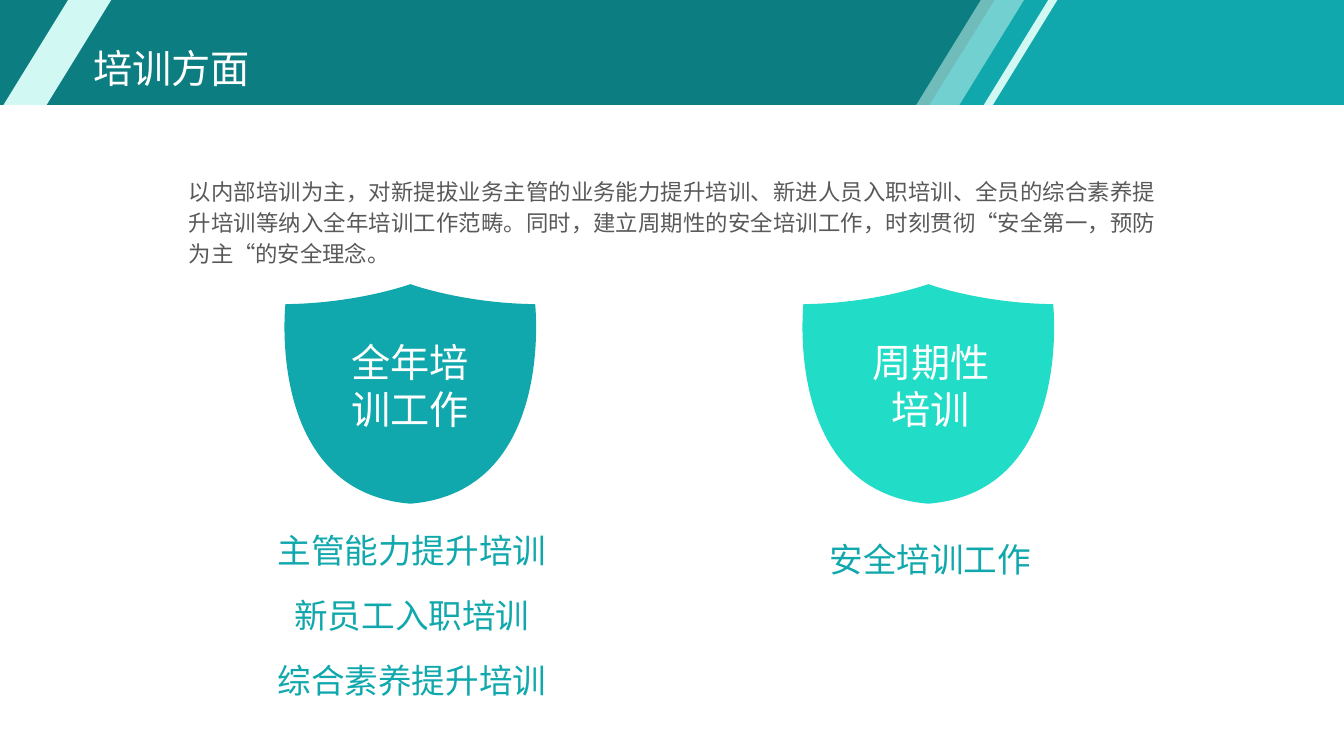
"""Build the training slide: slanted header band, summary and two shields with their topics."""
import pptx
import pptx.dml.color
import pptx.enum.lang
import pptx.enum.shapes
import pptx.enum.text
import pptx.oxml
import pptx.oxml.ns
import pptx.util

Pt = pptx.util.Pt
RGBColor = pptx.dml.color.RGBColor
Alignment = pptx.enum.text.PP_ALIGN
AutoSize = pptx.enum.text.MSO_AUTO_SIZE
Preset = pptx.enum.shapes.MSO_SHAPE
qn = pptx.oxml.ns.qn
NAMESPACE = pptx.oxml.ns.nsdecls("a")

DARK_TEAL = RGBColor(0x0C, 0x7E, 0x81)
TEAL = RGBColor(0x10, 0xA8, 0xAC)
PALE_MINT = RGBColor(0xD2, 0xF8, 0xF4)
MINT = RGBColor(0x21, 0xDC, 0xC7)
GREY = RGBColor(0x59, 0x59, 0x59)
WHITE = RGBColor(0xFF, 0xFF, 0xFF)
FONT = "Noto Sans CJK SC"
BAND_HEIGHT = 75

presentation = pptx.Presentation()
presentation.slide_width = Pt(960)
presentation.slide_height = Pt(540)
slide = presentation.slides.add_slide(presentation.slide_layouts[6])


def paint(shape, color):
    shape.shadow.inherit = False
    shape.fill.solid()
    shape.fill.fore_color.rgb = color
    shape.line.fill.background()


def add_text(text, left, top, width, height, size, color, alignment,
             spacing=None, insets=(0, 0), auto_size=AutoSize.NONE):
    box = slide.shapes.add_textbox(Pt(left), Pt(top), Pt(width), Pt(height))
    frame = box.text_frame
    frame.word_wrap = True
    frame.auto_size = auto_size
    frame.vertical_anchor = pptx.enum.text.MSO_ANCHOR.MIDDLE
    frame.margin_left = frame.margin_right = Pt(insets[0])
    frame.margin_top = frame.margin_bottom = Pt(insets[1])
    paragraph = frame.paragraphs[0]
    paragraph.alignment = alignment
    paragraph.line_spacing = spacing
    run = paragraph.add_run()
    run.text = text
    run.font.size = Pt(size)
    run.font.name = FONT
    run.font.color.rgb = color
    run.font.language_id = pptx.enum.lang.MSO_LANGUAGE_ID.SIMPLIFIED_CHINESE
    east_asian = pptx.oxml.parse_xml(f'<a:ea {NAMESPACE} typeface="{FONT}"/>')
    run.font._element.find(qn("a:latin")).addnext(east_asian)


band = slide.shapes.add_shape(Preset.RECTANGLE, 0, 0, Pt(960), Pt(BAND_HEIGHT))
paint(band, DARK_TEAL)

teal_panel = slide.shapes.build_freeform(Pt(710.6), 0)
teal_panel.add_line_segments(
    [(Pt(960), 0), (Pt(960), Pt(BAND_HEIGHT)), (Pt(663.9), Pt(BAND_HEIGHT))], close=True)
paint(teal_panel.convert_to_shape(), TEAL)

for left, opacity in ((2.5, 100), (654.5, 51)):
    stripe = slide.shapes.add_shape(Preset.PARALLELOGRAM, Pt(left), 0, Pt(77), Pt(BAND_HEIGHT))
    stripe.adjustments[0] = 0.616
    paint(stripe, PALE_MINT)
    if opacity < 100:
        alpha = pptx.oxml.parse_xml(f'<a:alpha {NAMESPACE} val="{opacity * 1000}"/>')
        stripe._element.spPr.find(".//" + qn("a:srgbClr")).append(alpha)

thin_stripe = slide.shapes.build_freeform(Pt(748.8), 0)
thin_stripe.add_line_segments(
    [(Pt(755.3), 0), (Pt(709.2), Pt(BAND_HEIGHT)), (Pt(702.7), Pt(BAND_HEIGHT))], close=True)
paint(thin_stripe.convert_to_shape(), PALE_MINT)

SHIELD_START = (89.2, 217.3)
SHIELD_CURVES = [
    (37.4, 216.7), (0, 203), (0, 203),
    (0, 203), (-37.4, 216.7), (-89.2, 217.3),
    (-89.2, 217.3), (-103.6, 351.4), (0, 359.8),
    (103.6, 351.4), (89.2, 217.3), (89.2, 217.3),
]
for center, color in ((293.1, TEAL), (663.1, MINT)):
    builder = slide.shapes.build_freeform(Pt(center + SHIELD_START[0]), Pt(SHIELD_START[1]))
    builder.add_line_segments([(Pt(center + x), Pt(y)) for x, y in SHIELD_CURVES], close=True)
    shield = builder.convert_to_shape()
    paint(shield, color)
    segments = list(shield._element.iter(qn("a:lnTo")))
    for first in range(0, len(SHIELD_CURVES), 3):
        curve = pptx.oxml.parse_xml(f"<a:cubicBezTo {NAMESPACE}/>")
        segments[first].addprevious(curve)
        for segment in segments[first:first + 3]:
            curve.append(segment[0])
            segment.getparent().remove(segment)

add_text("培训方面", 59.4, 23.8, 653.8, 54, 28, WHITE, Alignment.LEFT, 0.9, (7.2, 3.6))
add_text(
    "以内部培训为主，对新提拔业务主管的业务能力提升培训、新进人员入职培训、全员的综合素养提升培训等纳入全年培训工作范畴。"
    "同时，建立周期性的安全培训工作，时刻贯彻“安全第一，预防为主“的安全理念。",
    134.8, 125, 691.4, 64.8, 16, GREY, Alignment.JUSTIFY, Pt(22),
    auto_size=AutoSize.SHAPE_TO_FIT_TEXT)

topics = ["主管能力提升培训", "新员工入职培训", "综合素养提升培训"]
for index, topic in enumerate(topics):
    add_text(topic, 170.4, 374.6 + 46.4 * index, 247.7, 36.7, 24, TEAL, Alignment.CENTER)
add_text("安全培训工作", 555, 370, 219, 59, 24, TEAL, Alignment.CENTER)

for label, left in (("全年培训工作", 242.9), ("周期性培训", 614.9)):
    add_text(label, left, 241.2, 100.1, 67.7, 28, WHITE, Alignment.CENTER,
             auto_size=AutoSize.SHAPE_TO_FIT_TEXT)

presentation.save("out.pptx")
